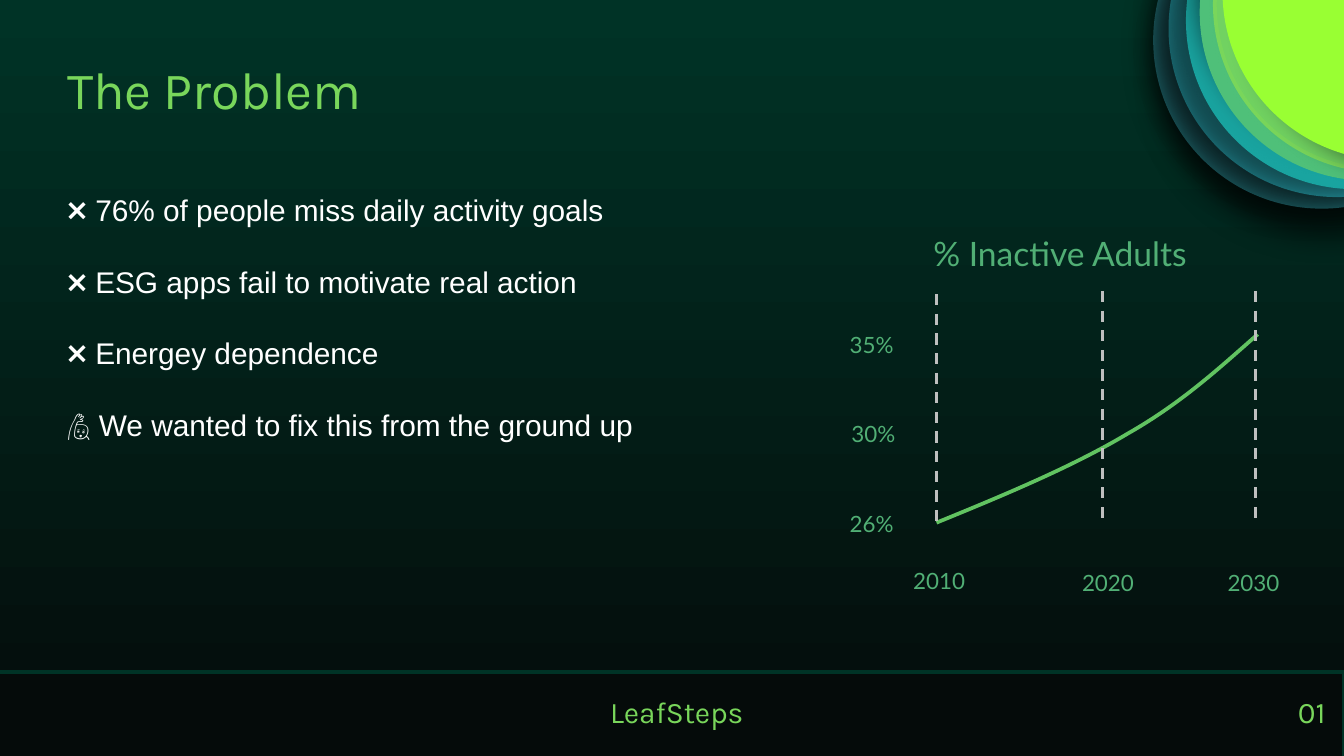
from math import acos, cos, degrees, radians, sin, tan

from lxml.etree import SubElement
from pptx import Presentation
from pptx.dml.color import RGBColor
from pptx.enum.dml import MSO_LINE
from pptx.enum.shapes import MSO_CONNECTOR, MSO_SHAPE
from pptx.enum.text import MSO_ANCHOR, MSO_AUTO_SIZE, PP_ALIGN
from pptx.oxml.ns import qn
from pptx.util import Cm, Pt

# Content; all lengths are in centimetres
TITLE = "The Problem"
POINTS = [
    "❌ 76% of people miss daily activity goals",
    "❌ ESG apps fail to motivate real action",
    "❌ Energey dependence",
    "🙋 We wanted to fix this from the ground up",
]
GRAPH_TITLE = "% Inactive Adults"
GRAPH_LABELS = [
    ("35%", 16.06, 6.26), ("30%", 16.09, 7.95), ("26%", 16.06, 9.64),
    ("2010", 17.26, 10.73), ("2020", 20.45, 10.75), ("2030", 23.2, 10.75),
]
GUIDES = [(17.7, 5.56, 9.93), (20.83, 5.5, 9.88), (23.72, 5.5, 9.88)]
CURVE = [
    [(17.7, 9.88), (19, 9.35), (20.29, 8.81), (21.31, 8.2)],
    [(21.31, 8.2), (22.33, 7.62), (23.04, 6.96), (23.77, 6.32)],
]
FOOTER_NAME, PAGE = "LeafSteps", "01"

# Crescents: centre, direction of the cut, fill, line, shadow direction
CRESCENTS = [
    ((24.98, 0.76), -45, "29878F", "29878F", 80),
    ((25.27, 0.54), -48, "28A6B2", "28A6B2", 140),
    ((25.6, 0.39), -30, "19A4A0", "19A4A0", 160),
    ((25.86, 0.23), -46, "4FC079", "4FC079", 260),
    ((26.11, 0.08), -44, "71D261", "79D65B", 320),
    ((26.29, -0.15), -41, "99FF33", "99FF33", 20),
]
RADIUS, CUT_OFFSET = 3.15, 2.36

THEME = {
    "dark": "050B0A", "green": "003326", "heading": "79D65B", "label": "51AF75",
    "body": "FFFFFF", "curve": "61C361", "guide": "BFBFBF",
    "title_size": 28, "graph_size": 18, "body_size": 16, "label_size": 12,
    "heading_font": "Karla", "label_font": "Lato", "body_font": "Arial",
}


def color(name):
    return RGBColor.from_string(THEME.get(name, name))


def write(shape, box, lines, role, size, align=PP_ALIGN.LEFT, gap=0):
    shape.left, shape.top, shape.width, shape.height = map(Cm, box)
    frame = shape.text_frame
    frame.word_wrap = True
    frame.auto_size = MSO_AUTO_SIZE.NONE
    frame.vertical_anchor = MSO_ANCHOR.TOP
    frame.margin_left = frame.margin_right = frame.margin_top = frame.margin_bottom = 0
    for index, line in enumerate(lines):
        paragraph = frame.add_paragraph() if index else frame.paragraphs[0]
        paragraph.alignment = align
        paragraph.space_before = Pt(gap if index else 0)
        run = paragraph.add_run()
        run.text = line
        run.font.name = THEME[role + "_font"]
        run.font.size = Pt(THEME[size])
        run.font.color.rgb = color(role)


def add_text(slide, box, *style, **options):
    write(slide.shapes.add_textbox(0, 0, 0, 0), box, *style, **options)


def point_on(segment, t):
    weights = ((1 - t) ** 3, 3 * t * (1 - t) ** 2, 3 * t * t * (1 - t), t ** 3)
    return [sum(w * p[axis] for w, p in zip(weights, segment)) for axis in (0, 1)]


def add_outline(slide, segments, line, fill=None, close=False):
    """Draw joined cubic segments; the builder sets the box, the path gets the curves."""
    samples = [point_on(segment, i / 20) for segment in segments for i in range(21)]
    samples = [(Cm(x), Cm(y)) for x, y in samples]
    builder = slide.shapes.build_freeform(*samples[0])
    builder.add_line_segments(samples[1:], close=close)
    shape = builder.convert_to_shape()

    path = shape.element.spPr.find(".//" + qn("a:path"))
    for step in list(path)[1:]:
        path.remove(step)
    for segment in segments:
        step = SubElement(path, qn("a:cubicBezTo"))
        for x, y in segment[1:]:
            SubElement(step, qn("a:pt"), x=str(Cm(x) - shape.left), y=str(Cm(y) - shape.top))
    if close:
        SubElement(path, qn("a:close"))

    shape.shadow.inherit = False
    if fill:
        shape.fill.solid()
        shape.fill.fore_color.rgb = color(fill)
    else:
        shape.fill.background()
    shape.line.color.rgb = color(line)
    shape.line.width = Pt(2)
    return shape


def arc(center, start, end, count):
    """Split a circular arc into cubic segments."""
    sweep = radians(end - start) / count
    handle = 4 / 3 * tan(sweep / 4)

    def place(angle, pull):
        return (center[0] + RADIUS * (cos(angle) - pull * sin(angle)),
                center[1] + RADIUS * (sin(angle) + pull * cos(angle)))

    for index in range(count):
        first = radians(start) + index * sweep
        last = first + sweep
        yield [place(first, 0), place(first, handle), place(last, -handle), place(last, 0)]


def add_crescent(slide, center, direction, fill, line, shadow_direction):
    half = degrees(acos(CUT_OFFSET / 2 / RADIUS))
    cut = (center[0] + CUT_OFFSET * cos(radians(direction)),
           center[1] + CUT_OFFSET * sin(radians(direction)))
    outer = arc(center, direction + half, direction + 360 - half, 6)
    inner = arc(cut, direction + 180 + half, direction + 180 - half, 4)
    shape = add_outline(slide, [*outer, *inner], line, fill, close=True)
    effects = shape.element.spPr.find(qn("a:effectLst"))
    shadow = SubElement(effects, qn("a:outerShdw"), blurRad=str(Pt(15)), dist=str(Pt(15)),
                        dir=str(shadow_direction * 60000), rotWithShape="0")
    shade = SubElement(shadow, qn("a:srgbClr"), val="000000")
    SubElement(shade, qn("a:alpha"), val="55000")


def main():
    presentation = Presentation()
    presentation.slide_width, presentation.slide_height = Cm(25.4), Cm(14.29)
    slide = presentation.slides.add_slide(presentation.slide_layouts[5])

    # Background
    background = slide.background.fill
    background.gradient()
    background.gradient_angle = 90
    for stop, name in zip(background.gradient_stops, ("dark", "green")):
        stop.color.rgb = color(name)

    # Corner decoration
    for crescent in CRESCENTS:
        add_crescent(slide, *crescent)

    # Title and points
    write(slide.shapes.title, (1.27, 1.08, 9.22, 1.45), [TITLE], "heading", "title_size")
    add_text(slide, (1.27, 3.63, 14.02, 7.39), POINTS, "body", "body_size", gap=19.1)

    # Graph labels
    add_text(slide, (17.64, 4.4, 7.5, 1.98), [GRAPH_TITLE], "label", "graph_size")
    for text, left, top in GRAPH_LABELS:
        add_text(slide, (left, top, 2.2, 1.98), [text], "label", "label_size")

    # Graph curve and guides
    add_outline(slide, CURVE, "curve")
    for x, top, bottom in GUIDES:
        guide = slide.shapes.add_connector(
            MSO_CONNECTOR.STRAIGHT, Cm(x), Cm(top), Cm(x), Cm(bottom))
        guide.line.color.rgb = color("guide")
        guide.line.width = Pt(1.5)
        guide.line.dash_style = MSO_LINE.DASH
        SubElement(guide.element.spPr, qn("a:effectLst"))

    # Footer
    footer = slide.shapes.add_shape(
        MSO_SHAPE.RECTANGLE, Cm(-0.1), Cm(12.71), Cm(25.5), Cm(1.7))
    footer.shadow.inherit = False
    footer.fill.solid()
    footer.fill.fore_color.rgb = color("dark")
    footer.line.color.rgb = color("green")
    footer.line.width = Pt(2)
    add_text(slide, (11.53, 13.11, 2.82, 0.71), [FOOTER_NAME], "heading", "body_size")
    add_text(slide, (18.75, 13.11, 6.3, 0.71), [PAGE], "heading", "body_size",
             align=PP_ALIGN.RIGHT)

    presentation.save("out.pptx")


if __name__ == "__main__":
    main()
